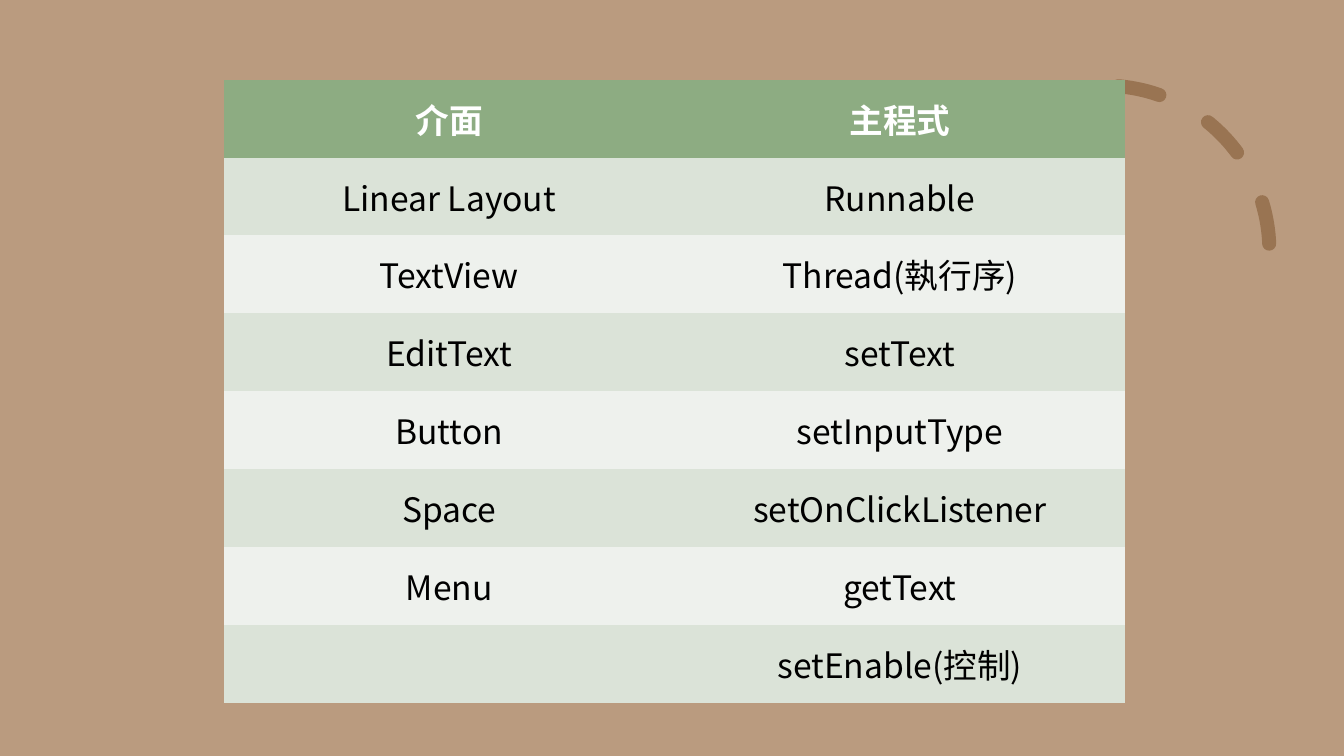
from dataclasses import dataclass

from lxml.etree import SubElement
from pptx import Presentation
from pptx.dml.color import RGBColor
from pptx.enum.dml import MSO_LINE
from pptx.enum.shapes import MSO_SHAPE
from pptx.enum.text import MSO_ANCHOR, PP_ALIGN
from pptx.oxml.ns import qn
from pptx.slide import Slide
from pptx.table import _Cell
from pptx.util import Inches, Pt


@dataclass(frozen=True)
class Theme:
    background: str = "BA9B7F"
    arc: str = "997452"
    header: str = "8DAC82"
    bands: tuple[str, str] = ("DBE3D8", "EEF1ED")
    header_text: str = "FFFFFF"
    body_text: str = "000000"
    font: str = "Noto Sans CJK SC"
    text_size: int = 24
    arc_width: int = 10


@dataclass(frozen=True)
class TableRow:
    interface: str
    program: str


THEME = Theme()
SLIDE_WIDTH, SLIDE_HEIGHT = 13.33, 7.5
TABLE_LEFT, TABLE_TOP, TABLE_WIDTH, TABLE_HEIGHT = 2.22, 0.79, 8.94, 6.18
PLAIN_TABLE_STYLE = "{2D5ABB26-0587-4C30-8999-92F81FD0307C}"

ROWS = [
    TableRow("介面", "主程式"),
    TableRow("Linear Layout", "Runnable"),
    TableRow("TextView", "Thread(執行序)"),
    TableRow("EditText", "setText"),
    TableRow("Button", "setInputType"),
    TableRow("Space", "setOnClickListener"),
    TableRow("Menu", "getText"),
    TableRow("", "setEnable(控制)"),
]


def write_text(cell: _Cell, text: str, *, color: str, bold: bool = False) -> None:
    """Put centred text into a table cell."""
    cell.vertical_anchor = MSO_ANCHOR.MIDDLE
    paragraph = cell.text_frame.paragraphs[0]
    paragraph.alignment = PP_ALIGN.CENTER
    if not text:
        return
    run = paragraph.add_run()
    run.text = text
    run.font.size = Pt(THEME.text_size)
    run.font.bold = bold
    run.font.color.rgb = RGBColor.from_string(color)
    run.font.name = THEME.font
    # East Asian characters take their own typeface entry
    SubElement(run.font._element, qn("a:ea"), typeface=THEME.font)


def add_background(slide: Slide) -> None:
    shape = slide.shapes.add_shape(
        MSO_SHAPE.RECTANGLE, 0, 0, Inches(SLIDE_WIDTH), Inches(SLIDE_HEIGHT)
    )
    shape.shadow.inherit = False
    shape.fill.solid()
    shape.fill.fore_color.rgb = RGBColor.from_string(THEME.background)
    shape.line.fill.background()


def add_dashed_arc(slide: Slide) -> None:
    shape = slide.shapes.add_shape(
        MSO_SHAPE.ARC, Inches(9.32), Inches(0.85), Inches(3.27), Inches(3.27)
    )
    shape.shadow.inherit = False
    shape.adjustments[0] = 144.42
    shape.adjustments[1] = 0
    shape.fill.background()
    shape.line.color.rgb = RGBColor.from_string(THEME.arc)
    shape.line.width = Pt(THEME.arc_width)
    shape.line.dash_style = MSO_LINE.DASH
    # Rounded dash ends
    shape.line._get_or_add_ln().set("cap", "rnd")


def add_terms_table(slide: Slide, rows: list[TableRow]) -> None:
    table = slide.shapes.add_table(
        len(rows), 2, Inches(TABLE_LEFT), Inches(TABLE_TOP),
        Inches(TABLE_WIDTH), Inches(TABLE_HEIGHT),
    ).table
    table.horz_banding = False
    table._tbl.tblPr.find(qn("a:tableStyleId")).text = PLAIN_TABLE_STYLE

    for row_index, row in enumerate(rows):
        is_header = row_index == 0
        fill = THEME.header if is_header else THEME.bands[(row_index - 1) % 2]
        color = THEME.header_text if is_header else THEME.body_text
        for column_index, text in enumerate((row.interface, row.program)):
            cell = table.cell(row_index, column_index)
            cell.fill.solid()
            cell.fill.fore_color.rgb = RGBColor.from_string(fill)
            write_text(cell, text, color=color, bold=is_header)


def main() -> None:
    presentation = Presentation()
    presentation.slide_width = Inches(SLIDE_WIDTH)
    presentation.slide_height = Inches(SLIDE_HEIGHT)
    slide = presentation.slides.add_slide(presentation.slide_layouts[6])

    # Back to front: backdrop, decoration, table
    add_background(slide)
    add_dashed_arc(slide)
    add_terms_table(slide, ROWS)

    presentation.save("out.pptx")


if __name__ == "__main__":
    main()
